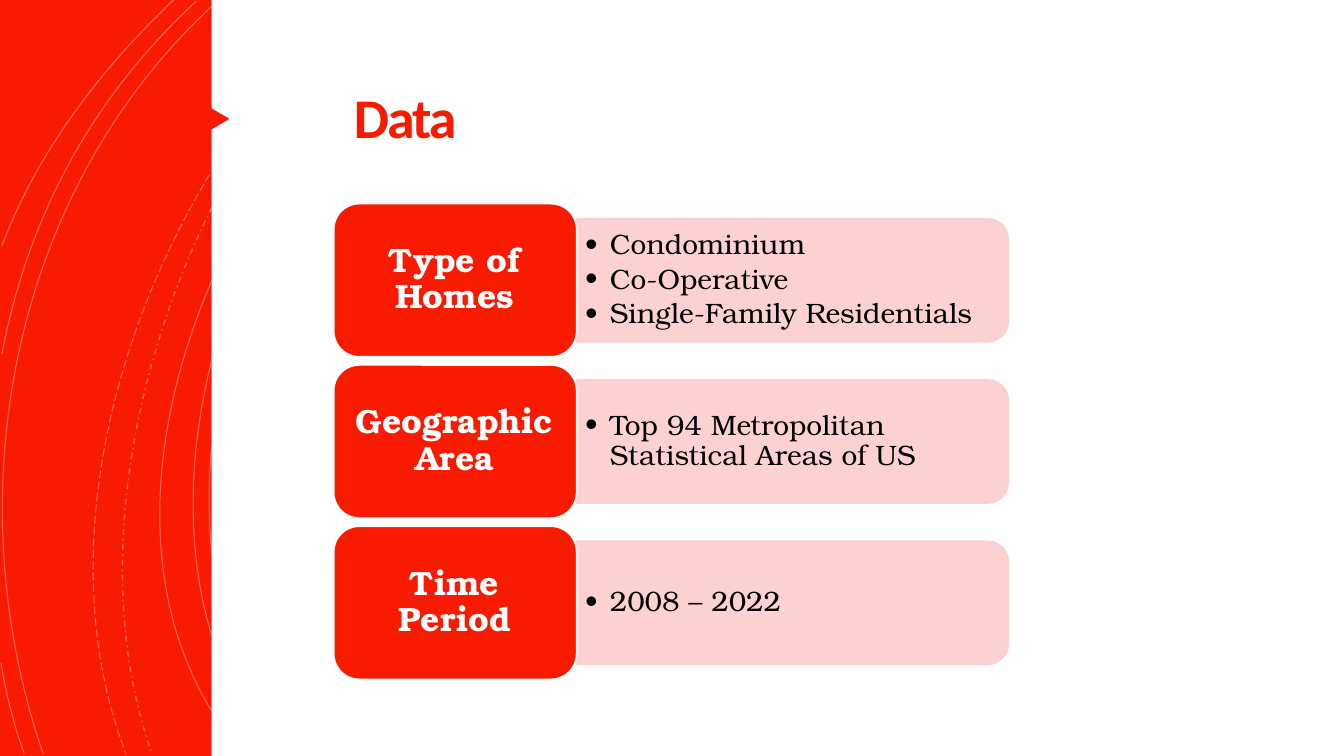
from dataclasses import dataclass
from typing import Any, Optional

import lxml.etree
import pptx
import pptx.dml.color
import pptx.enum.dml
import pptx.enum.shapes
import pptx.enum.text
import pptx.oxml.ns
import pptx.util

Inches = pptx.util.Inches
Pt = pptx.util.Pt
RGBColor = pptx.dml.color.RGBColor
Kind = pptx.enum.shapes.MSO_SHAPE
Dash = pptx.enum.dml.MSO_LINE
Align = pptx.enum.text.PP_ALIGN
Anchor = pptx.enum.text.MSO_ANCHOR
qn = pptx.oxml.ns.qn

RED = RGBColor(0xF8, 0x1B, 0x02)
PINK = RGBColor(0xFC, 0xCD, 0xCC)
WHITE = RGBColor(0xFF, 0xFF, 0xFF)
BLACK = RGBColor(0x00, 0x00, 0x00)

BODY_FONT = "TeX Gyre Bonum"
TITLE_FONT = dict(name="Calibri", size=Pt(40), bold=True)
LABEL_FONT = dict(name=BODY_FONT, size=Pt(24), bold=True)
BULLET_FONT = dict(name=BODY_FONT, size=Pt(20), bold=False)

ROW_TOP, ROW_PITCH = 2.02, 1.6

Point = tuple[float, float]


@dataclass
class Box:
    left: float
    top: float
    width: float
    height: float

    def lengths(self) -> list[int]:
        return [Inches(n) for n in (self.left, self.top, self.width, self.height)]


@dataclass
class Arc:
    """A cubic curve from start to end, pulled by two bends."""
    start: Point
    bend_one: Point
    bend_two: Point
    end: Point
    dash: Optional[Any] = None
    weight: float = 0.75

    def points(self) -> list[tuple[int, int]]:
        return [(Inches(x), Inches(y))
                for x, y in (self.start, self.bend_one, self.bend_two, self.end)]


@dataclass
class Row:
    label: str
    bullets: list[str]


ARCS = [
    Arc((4.64, 0), (2.44, 1.33), (1.1, 5.41), (2.94, 7.48)),
    Arc((4.5, 0), (2.31, 1.38), (0.97, 5.33), (2.72, 7.48)),
    Arc((4.27, 0), (2.17, 1.47), (0.53, 5.29), (2.41, 7.48)),
    Arc((3.63, 0), (1.76, 1.66), (0.65, 5.09), (1.51, 7.48), Dash.DASH_DOT, 1),
    Arc((3.51, 0), (1.57, 1.69), (0.29, 4.99), (1.25, 7.48), Dash.LONG_DASH),
    Arc((2.17, 0), (0.11, 1.85), (-0.46, 4.9), (0.43, 7.48)),
    Arc((1.95, 0.01), (0.92, 0.96), (0.28, 2.14), (0.02, 3.51)),
    Arc((0.01, 6.58), (0.06, 6.89), (0.14, 7.19), (0.24, 7.48)),
    Arc((1.72, 0), (1, 0.69), (0.37, 1.5), (0.02, 2.44)),
]

ROWS = [
    Row("Type of Homes", ["Condominium", "Co-Operative", "Single-Family Residentials"]),
    Row("Geographic Area", ["Top 94 Metropolitan Statistical Areas of US"]),
    Row("Time Period", ["2008 – 2022"]),
]


def apply_format(target: Any, values: dict[str, Any]) -> None:
    for name, value in values.items():
        setattr(target, name, value)


def set_opacity(shape: Any, percent: int) -> None:
    for color in shape._element.spPr.iter(qn("a:srgbClr")):
        lxml.etree.SubElement(color, qn("a:alpha"), val=str(percent * 1000))


def add_block(page: Any, kind: Any, box: Box, fill: RGBColor,
              line: Optional[RGBColor] = None, rotation: float = 0) -> Any:
    block = page.shapes.add_shape(kind, *box.lengths())
    block.shadow.inherit = False
    block.rotation = rotation
    block.fill.solid()
    block.fill.fore_color.rgb = fill
    if line is None:
        block.line.fill.background()
    else:
        block.line.color.rgb = line
        block.line.width = Pt(1.25)
    return block


def add_arc(page: Any, arc: Arc) -> None:
    start, *others = arc.points()
    builder = page.shapes.build_freeform(*start)
    builder.add_line_segments(others, close=False)
    curve = builder.convert_to_shape()
    # Join the three straight segments into one cubic curve
    outline = next(curve._element.spPr.iter(qn("a:path")))
    segments = outline.findall(qn("a:lnTo"))
    cubic = lxml.etree.SubElement(outline, qn("a:cubicBezTo"))
    for segment in segments:
        cubic.append(segment[0])
        outline.remove(segment)
    curve.shadow.inherit = False
    curve.fill.background()
    curve.line.color.rgb = WHITE
    apply_format(curve.line, dict(width=Pt(arc.weight), dash_style=arc.dash))
    set_opacity(curve, 35)


def add_text(page: Any, box: Box, lines: list[str], font: dict[str, Any],
             color: RGBColor, para_format: dict[str, Any], anchor: Any,
             insets: Point, after: int = 0, bulleted: bool = False) -> Any:
    frame = page.shapes.add_textbox(*box.lengths()).text_frame
    across, down = Inches(insets[0]), Inches(insets[1])
    apply_format(frame, dict(word_wrap=True, vertical_anchor=anchor,
                             margin_left=across, margin_right=across,
                             margin_top=down, margin_bottom=down))
    for index, line in enumerate(lines):
        para = frame.add_paragraph() if index else frame.paragraphs[0]
        apply_format(para, para_format)
        span = para.add_run()
        span.text = line
        apply_format(span.font, font)
        span.font.color.rgb = color
        props = para._p.get_or_add_pPr()
        if after:
            spacing = lxml.etree.SubElement(props, qn("a:spcAft"))
            lxml.etree.SubElement(spacing, qn("a:spcPct"), val=str(after * 1000))
        if bulleted:
            props.set("marL", str(Inches(0.25)))
            props.set("indent", str(-Inches(0.25)))
            lxml.etree.SubElement(props, qn("a:buFont"), typeface=BODY_FONT)
            lxml.etree.SubElement(props, qn("a:buChar"), char="•")
    return frame


def add_row(page: Any, row: Row, top: float) -> None:
    # Pink panel, turned so that its round corners face right
    panel = add_block(page, Kind.ROUND_2_SAME_RECTANGLE,
                      Box(7.25, top - 1.38, 1.22, 4.28), PINK, PINK, 90)
    set_opacity(panel, 90)
    add_text(page, Box(5.72, top + 0.21, 4.23, 1.1), row.bullets, BULLET_FONT, BLACK,
             dict(level=1, alignment=Align.LEFT, line_spacing=0.9),
             Anchor.MIDDLE, (0.08, 0.04), after=15, bulleted=True)
    # Red label
    add_block(page, Kind.ROUNDED_RECTANGLE, Box(3.31, top, 2.41, 1.52), RED, WHITE)
    add_text(page, Box(3.38, top + 0.07, 2.26, 1.37), [row.label], LABEL_FONT, WHITE,
             dict(alignment=Align.CENTER, line_spacing=0.9),
             Anchor.MIDDLE, (0.1, 0.05), after=35)


def main() -> None:
    deck = pptx.Presentation()
    apply_format(deck, dict(slide_width=Inches(13.33), slide_height=Inches(7.5)))
    page = deck.slides.add_slide(deck.slide_layouts[6])

    # Red side band with curves, and the white panel over it
    add_block(page, Kind.RECTANGLE, Box(0, 0, 13.33, 7.5), RED)
    for arc in ARCS:
        add_arc(page, arc)
    add_block(page, Kind.RECTANGLE, Box(2.1, 0, 11.23, 7.5), WHITE)

    # Title and its pointer
    title = add_text(page, Box(3.26, 0.67, 6.81, 1.03), ["Data"], TITLE_FONT, RED,
                     dict(line_spacing=0.85), Anchor.TOP, (0.25, 0.25))
    title.paragraphs[0].runs[0]._r.get_or_add_rPr().set("spc", "-150")
    add_block(page, Kind.ISOSCELES_TRIANGLE, Box(1.97, 1.04, 0.33, 0.28), RED, rotation=90)

    # Data rows
    for index, row in enumerate(ROWS):
        add_row(page, row, ROW_TOP + index * ROW_PITCH)

    deck.save("out.pptx")


if __name__ == "__main__":
    main()
